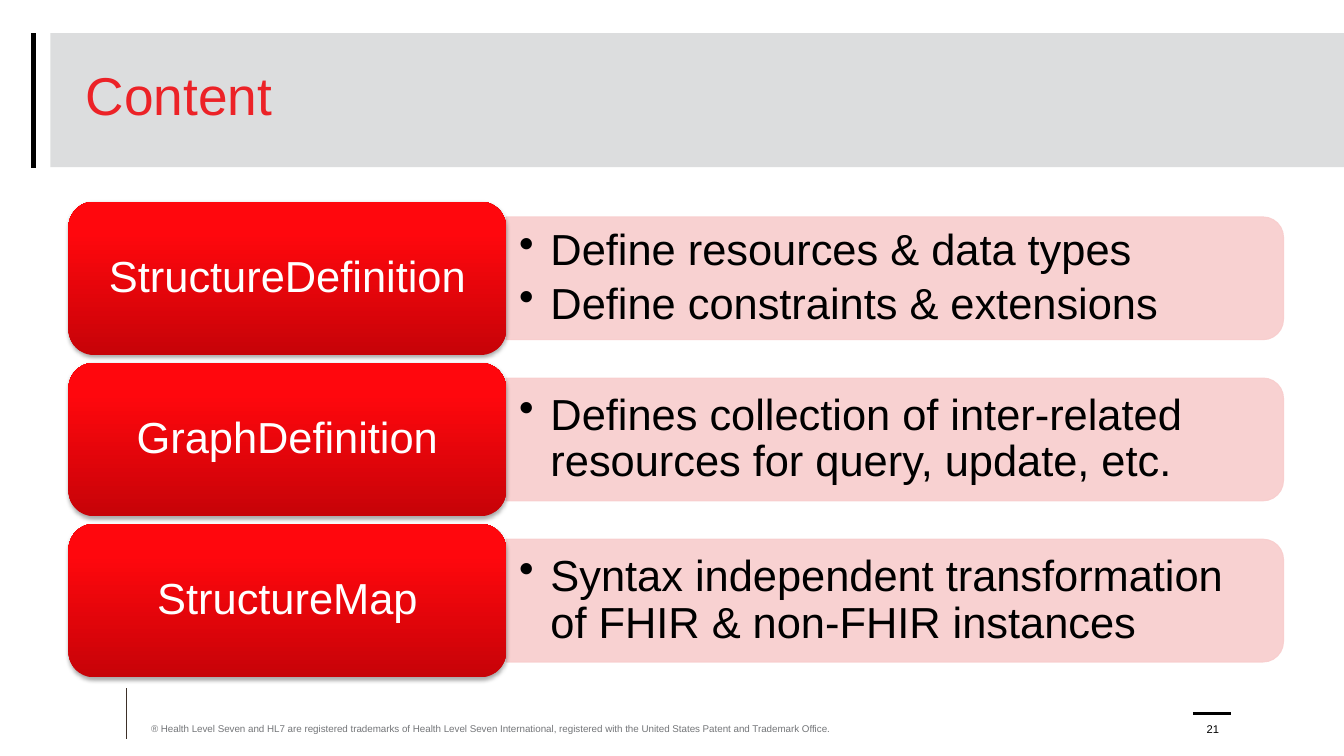
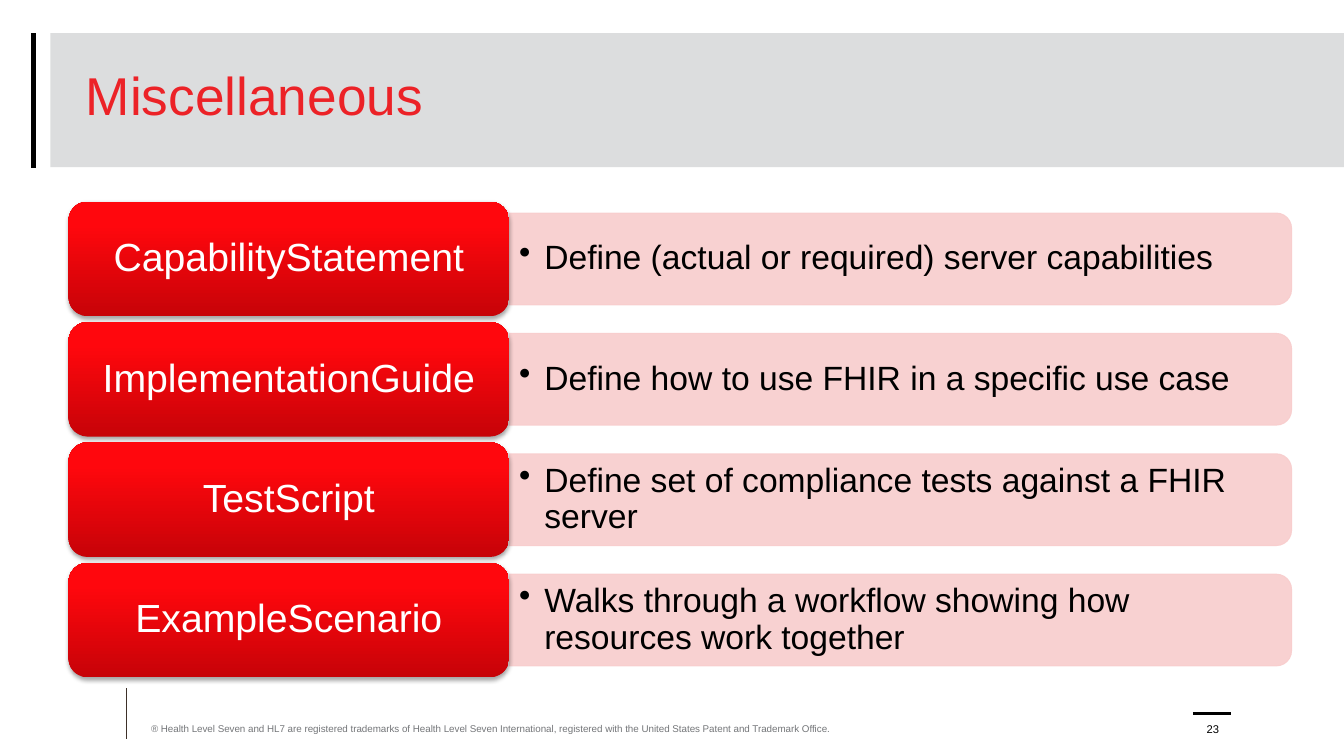
from copy import deepcopy

from lxml import etree
from pptx import Presentation
from pptx.dml.color import RGBColor
from pptx.enum.shapes import MSO_CONNECTOR, MSO_SHAPE
from pptx.enum.text import MSO_ANCHOR, PP_ALIGN
from pptx.oxml.ns import qn
from pptx.util import Inches, Pt

LEFT, CENTER = PP_ALIGN.LEFT, PP_ALIGN.CENTER
MIDDLE, BOTTOM = MSO_ANCHOR.MIDDLE, MSO_ANCHOR.BOTTOM
RECT, ROUND = MSO_SHAPE.RECTANGLE, MSO_SHAPE.ROUNDED_RECTANGLE
ROUND_TOP = MSO_SHAPE.ROUND_2_SAME_RECTANGLE
STRAIGHT = MSO_CONNECTOR.STRAIGHT

COLORS = {
    "title": "EC2227", "band": "BABCBE", "rule": "3D3029", "black": "000000",
    "white": "FFFFFF", "footer": "747679", "panel": "F8CDCD",
}
GRADIENT = [(0, "C70308"), (0.8, "FF070D"), (1, "FF080E")]
FONT = "Arial"
FOOTER = ("® Health Level Seven and HL7 are registered trademarks of Health Level Seven "
          "International, registered with the United States Patent and Trademark Office.")
RULES = [
    (1.25, 6.83, 1.25, 7.33, "rule", 0.5),
    (0.33, 0.33, 0.33, 1.67, "black", 3.25),
    (11.83, 7.08, 12.21, 7.08, "black", 2),
]
TOP, BOX_LEFT, STACK_HEIGHT, GAP = 2, 0.68, 4.72, 0.05

SLIDES = [
    {"title": "Content", "number": "21", "box_width": 4.34, "panel_width": 7.71,
     "label_size": 31, "list_size": 31, "indent": 0.31,
     "label_margins": (0.13, 0.06), "list_margins": (0.13, 0.06),
     "rows": [
         ("StructureDefinition", ["Define resources & data types",
                                  "Define constraints & extensions"]),
         ("GraphDefinition", ["Defines collection of inter-related resources "
                              "for query, update, etc."]),
         ("StructureMap", ["Syntax independent transformation of FHIR & "
                           "non-FHIR instances"]),
     ]},
    {"title": "Miscellaneous", "number": "23", "box_width": 4.37, "panel_width": 7.76,
     "label_size": 28, "list_size": 24, "indent": 0.25,
     "label_margins": (0.12, 0.06), "list_margins": (0.1, 0.05),
     "rows": [
         ("CapabilityStatement", ["Define (actual or required) server capabilities"]),
         ("ImplementationGuide", ["Define how to use FHIR in a specific use case"]),
         ("TestScript", ["Define set of compliance tests against a FHIR server"]),
         ("ExampleScenario", ["Walks through a workflow showing how resources "
                              "work together"]),
     ]},
]


def write(shape, lines, size, color, align=LEFT, anchor=MIDDLE, spacing=0.9,
          margins=(0.1, 0.05), indent=0):
    tf = shape.text_frame
    tf.word_wrap = True
    tf.vertical_anchor = anchor
    tf.margin_left = tf.margin_right = Inches(margins[0])
    tf.margin_top = tf.margin_bottom = Inches(margins[1])
    for i, line in enumerate(lines):
        p = tf.add_paragraph() if i else tf.paragraphs[0]
        p.alignment = align
        p.line_spacing = spacing
        if indent:
            p.space_after = Pt(round(size * 0.15, 2))
            pPr = p._p.get_or_add_pPr()
            pPr.set("marL", str(Inches(indent)))
            pPr.set("indent", str(-Inches(indent)))
            etree.SubElement(pPr, qn("a:buChar"), char="•")
        r = p.add_run()
        r.text = line
        r.font.name = FONT
        r.font.size = Pt(size)
        r.font.color.rgb = RGBColor.from_string(COLORS[color])


def paint(fill, color, opacity):
    fill.solid()
    fill.fore_color.rgb = RGBColor.from_string(COLORS[color])
    srgb = fill._xPr.find(qn("a:solidFill")).find(qn("a:srgbClr"))
    etree.SubElement(srgb, qn("a:alpha"), val=str(opacity * 1000))


prs = Presentation()
prs.slide_width, prs.slide_height = Inches(13.33), Inches(7.5)

for data in SLIDES:
    s = prs.slides.add_slide(prs.slide_layouts[5])
    title = s.shapes.title
    title.left, title.top = Inches(0.75), Inches(0.33)
    title.width, title.height = Inches(11.89), Inches(1.33)
    write(title, [data["title"]], 38, "title", spacing=0.8)

    band = s.shapes.add_shape(RECT, Inches(0.5), Inches(0.33), Inches(12.83), Inches(1.33))
    band.shadow.inherit = False
    paint(band.fill, "band", 50)
    band.line.fill.background()
    title.element.addprevious(band.element)

    for x1, y1, x2, y2, color, width in RULES:
        rule = s.shapes.add_connector(STRAIGHT, Inches(x1), Inches(y1), Inches(x2), Inches(y2))
        rule.line.color.rgb = RGBColor.from_string(COLORS[color])
        rule.line.width = Pt(width)
        etree.SubElement(rule.element.spPr, qn("a:effectLst"))

    n = len(data["rows"])
    box_w, panel_w = data["box_width"], data["panel_width"]
    box_h = STACK_HEIGHT / (n + (n - 1) * GAP)
    panel_h = box_h * 0.8
    panel_left = BOX_LEFT + box_w
    for i, (label, items) in enumerate(data["rows"]):
        top = TOP + i * box_h * (1 + GAP)
        middle = top + box_h / 2

        panel = s.shapes.add_shape(
            ROUND_TOP, Inches(panel_left + (panel_w - panel_h) / 2),
            Inches(middle - panel_w / 2), Inches(panel_h), Inches(panel_w))
        panel.rotation = 90
        panel.shadow.inherit = False
        paint(panel.fill, "panel", 90)
        paint(panel.line.fill, "panel", 90)
        panel.line.width = Pt(0.75)

        list_h = panel_h * 0.9
        tb = s.shapes.add_textbox(Inches(panel_left), Inches(middle - list_h / 2),
                                  Inches(panel_w - 0.05), Inches(list_h))
        write(tb, items, data["list_size"], "black",
              margins=data["list_margins"], indent=data["indent"])

        box = s.shapes.add_shape(ROUND, Inches(BOX_LEFT), Inches(top),
                                 Inches(box_w), Inches(box_h))
        box.fill.gradient()
        box.fill.gradient_angle = 90
        stops = box.element.spPr.find(qn("a:gradFill")).find(qn("a:gsLst"))
        stops.append(deepcopy(stops[-1]))
        for stop, (position, color) in zip(box.fill.gradient_stops, GRADIENT):
            stop.position = position
            stop.color.rgb = RGBColor.from_string(color)
        box.line.fill.background()
        box.shadow.inherit = False
        effects = box.element.spPr.find(qn("a:effectLst"))
        shadow = etree.SubElement(effects, qn("a:outerShdw"), blurRad=str(Pt(3.1)),
                                  dist=str(Pt(1.8)), dir="5400000", rotWithShape="0")
        srgb = etree.SubElement(shadow, qn("a:srgbClr"), val=COLORS["black"])
        etree.SubElement(srgb, qn("a:alpha"), val="35000")
        write(box, [label], data["label_size"], "white", CENTER,
              margins=data["label_margins"])

    footer = s.shapes.add_textbox(Inches(1.4), Inches(7.08), Inches(7.1), Inches(0.26))
    write(footer, [FOOTER], 7, "footer", anchor=BOTTOM, spacing=1)
    number = s.shapes.add_textbox(Inches(11.75), Inches(7.08), Inches(0.56), Inches(0.27))
    write(number, [data["number"]], 8, "black", CENTER, BOTTOM, spacing=1)

prs.save("out.pptx")
